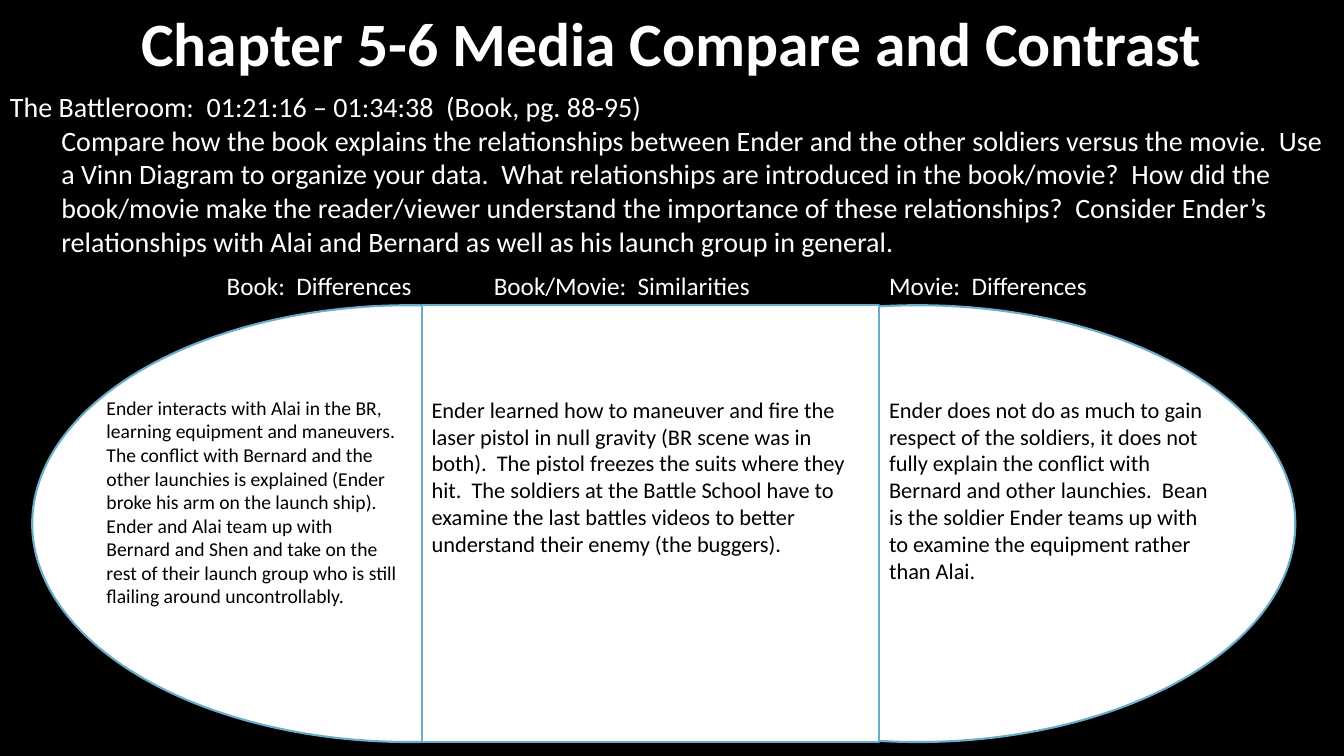
"""Build the Chapter 5-6 media comparison slide with its Venn diagram."""

from dataclasses import dataclass

import pptx
import pptx.dml.color
import pptx.enum.shapes
import pptx.enum.text
import pptx.slide
import pptx.text.text
import pptx.util

Pt = pptx.util.Pt
Align = pptx.enum.text.PP_ALIGN
Preset = pptx.enum.shapes.MSO_SHAPE


@dataclass(frozen=True)
class Theme:
    font: str = "Calibri"
    backdrop: str = "000000"
    light: str = "FFFFFF"
    dark: str = "000000"
    outline: str = "6AADC8"
    outline_width: float = 1.5
    title_size: float = 44
    prompt_size: float = 20
    heading_size: float = 18
    body_size: float = 16
    small_size: float = 14


@dataclass(frozen=True)
class Box:
    left: float
    top: float
    width: float
    height: float

    def lengths(self) -> tuple[pptx.util.Length, ...]:
        return Pt(self.left), Pt(self.top), Pt(self.width), Pt(self.height)


@dataclass(frozen=True)
class Region:
    preset: Preset
    left: float
    width: float


@dataclass(frozen=True)
class Label:
    text: str
    box: Box
    size: float
    color: str
    align: Align = Align.LEFT


THEME = Theme()
SLIDE_WIDTH, SLIDE_HEIGHT = 960, 540
VENN_TOP, VENN_HEIGHT = 218, 312
HEADING_TOP, HEADING_HEIGHT = 189.2, 29
FINDINGS_TOP = 279.2
OVERLAP_LEFT, OVERLAP_WIDTH = 301.2, 326.8
OVERLAP_RIGHT = OVERLAP_LEFT + OVERLAP_WIDTH
CIRCLE_WIDTH = 539.3

TITLE = "Chapter 5-6 Media Compare and Contrast"
TITLE_BOX = Box(90, 0, 780, 60.5)
PROMPT_BOX = Box(0, 60.5, SLIDE_WIDTH, 128)
PROMPT_INDENT = 36.7
SCENE = "The Battleroom:  01:21:16 – 01:34:38  (Book, pg. 88-95)"
TASK = (
    "Compare how the book explains the relationships between Ender and the other "
    "soldiers versus the movie.  Use a Vinn Diagram to organize your data.  What "
    "relationships are introduced in the book/movie?  How did the book/movie make "
    "the reader/viewer understand the importance of these relationships?  Consider "
    "Ender’s relationships with Alai and Bernard as well as his launch group in general."
)
BOOK_FINDINGS = (
    "Ender interacts with Alai in the BR, learning equipment and maneuvers.  The "
    "conflict with Bernard and the other launchies is explained (Ender broke his arm "
    "on the launch ship).  Ender and Alai team up with Bernard and Shen and take on "
    "the rest of their launch group who is still flailing around uncontrollably."
)
SHARED_FINDINGS = (
    "Ender learned how to maneuver and fire the laser pistol in null gravity (BR "
    "scene was in both).  The pistol freezes the suits where they hit.  The soldiers "
    "at the Battle School have to examine the last battles videos to better "
    "understand their enemy (the buggers)."
)
MOVIE_FINDINGS = (
    "Ender does not do as much to gain respect of the soldiers, it does not fully "
    "explain the conflict with Bernard and other launchies.  Bean is the soldier "
    "Ender teams up with to examine the equipment rather than Alai."
)

REGIONS = [
    Region(Preset.OVAL, 23, CIRCLE_WIDTH),
    Region(Preset.OVAL, 385.9, CIRCLE_WIDTH),
    Region(Preset.RECTANGLE, OVERLAP_LEFT, OVERLAP_WIDTH),
]
LABELS = [
    Label("Book:  Differences", Box(126.8, HEADING_TOP, 174.4, HEADING_HEIGHT),
          THEME.heading_size, THEME.light, Align.RIGHT),
    Label("Movie:  Differences", Box(OVERLAP_RIGHT, HEADING_TOP, 159, HEADING_HEIGHT),
          THEME.heading_size, THEME.light),
    Label("Book/Movie:  Similarities", Box(345.6, HEADING_TOP, 216.7, HEADING_HEIGHT),
          THEME.heading_size, THEME.light),
    Label(BOOK_FINDINGS, Box(69, FINDINGS_TOP, 224, 160), THEME.small_size, THEME.dark),
    Label(SHARED_FINDINGS, Box(OVERLAP_LEFT, FINDINGS_TOP, OVERLAP_WIDTH, 124),
          THEME.body_size, THEME.dark),
    Label(MOVIE_FINDINGS, Box(OVERLAP_RIGHT, FINDINGS_TOP, 242, 143),
          THEME.body_size, THEME.dark),
]


def rgb(color: str) -> pptx.dml.color.RGBColor:
    """Turn a hexadecimal string into a colour."""
    return pptx.dml.color.RGBColor.from_string(color)


def write(paragraph: pptx.text.text._Paragraph, text: str, *, size: float, color: str,
          bold: bool = False, align: Align = Align.LEFT, indent: float = 0) -> None:
    """Put formatted text into a paragraph."""
    if indent:
        properties = paragraph._p.get_or_add_pPr()
        properties.set("marL", str(Pt(indent)))
        properties.set("indent", "0")
    paragraph.alignment = align
    run = paragraph.add_run()
    run.text = text
    run.font.name = THEME.font
    run.font.size = Pt(size)
    run.font.bold = bold
    run.font.color.rgb = rgb(color)


def add_text_frame(slide: pptx.slide.Slide, box: Box) -> pptx.text.text.TextFrame:
    """Add a wrapping text box and return its frame."""
    frame = slide.shapes.add_textbox(*box.lengths()).text_frame
    frame.word_wrap = True
    return frame


def add_title(slide: pptx.slide.Slide) -> None:
    """Place and format the slide title."""
    title = slide.shapes.title
    title.left, title.top, title.width, title.height = TITLE_BOX.lengths()
    frame = title.text_frame
    frame.word_wrap = False
    frame.auto_size = pptx.enum.text.MSO_AUTO_SIZE.NONE
    frame.vertical_anchor = pptx.enum.text.MSO_ANCHOR.TOP
    write(frame.paragraphs[0], TITLE, size=THEME.title_size, color=THEME.light,
          bold=True, align=Align.CENTER)


def add_prompt(slide: pptx.slide.Slide) -> None:
    """Add the scene reference and the indented task."""
    frame = add_text_frame(slide, PROMPT_BOX)
    write(frame.paragraphs[0], SCENE, size=THEME.prompt_size, color=THEME.light)
    write(frame.add_paragraph(), TASK, size=THEME.prompt_size, color=THEME.light,
          indent=PROMPT_INDENT)


def add_region(slide: pptx.slide.Slide, region: Region) -> None:
    """Draw one region of the Venn diagram."""
    box = Box(region.left, VENN_TOP, region.width, VENN_HEIGHT)
    area = slide.shapes.add_shape(region.preset, *box.lengths())
    area.shadow.inherit = False
    area.fill.solid()
    area.fill.fore_color.rgb = rgb(THEME.light)
    area.line.color.rgb = rgb(THEME.outline)
    area.line.width = Pt(THEME.outline_width)


def add_label(slide: pptx.slide.Slide, label: Label) -> None:
    """Add one heading or set of findings."""
    frame = add_text_frame(slide, label.box)
    write(frame.paragraphs[0], label.text, size=label.size, color=label.color,
          align=label.align)


def main() -> None:
    """Build and save the slide."""
    presentation = pptx.Presentation()
    presentation.slide_width = Pt(SLIDE_WIDTH)
    presentation.slide_height = Pt(SLIDE_HEIGHT)
    slide = presentation.slides.add_slide(presentation.slide_layouts.get_by_name("Title Only"))
    slide.background.fill.solid()
    slide.background.fill.fore_color.rgb = rgb(THEME.backdrop)
    add_title(slide)
    add_prompt(slide)
    for region in REGIONS:
        add_region(slide, region)
    for label in LABELS:
        add_label(slide, label)
    presentation.save("out.pptx")


if __name__ == "__main__":
    main()
